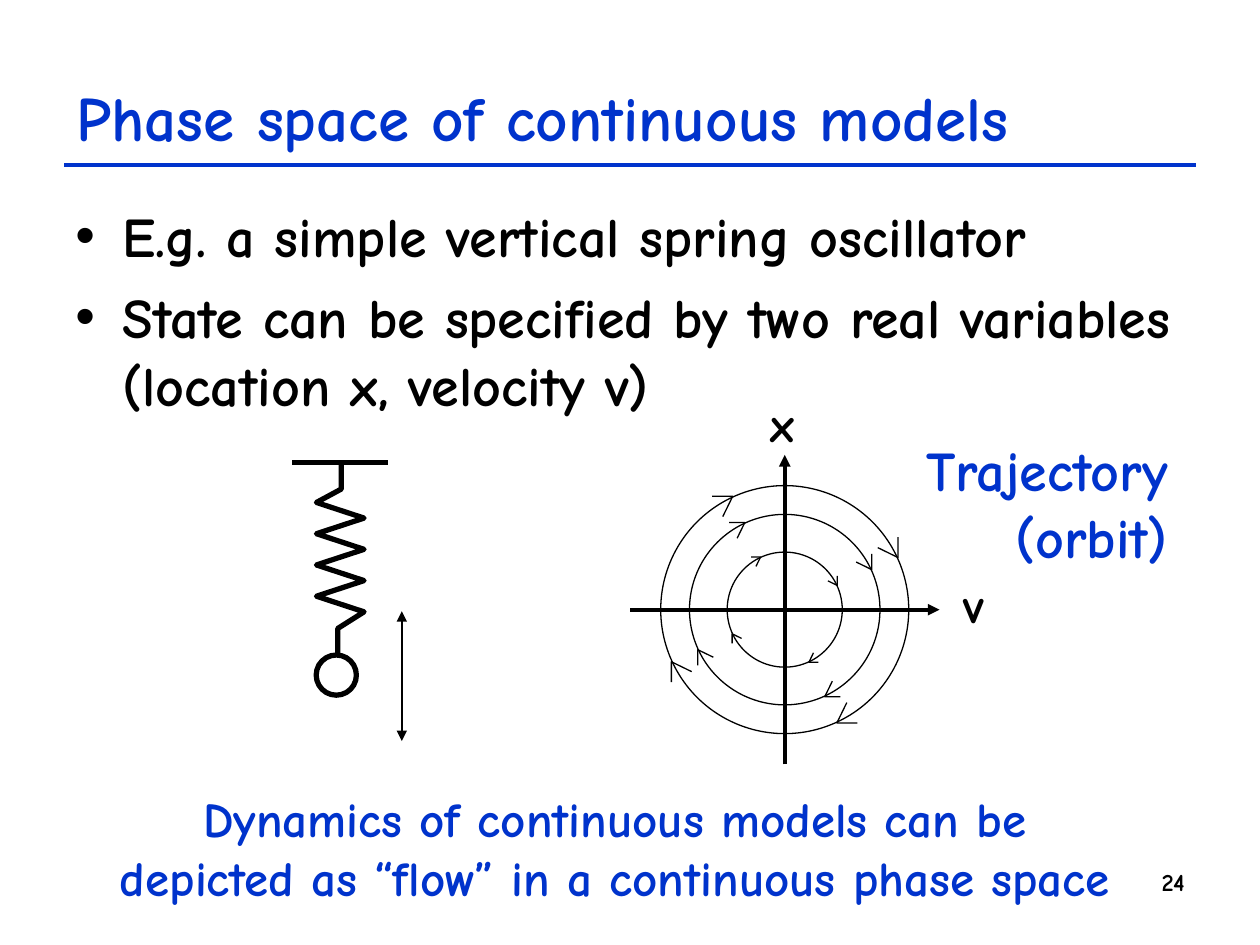
"""Build the slide on the phase space of a spring oscillator."""
import pptx
import pptx.util
import pptx.dml.color
import pptx.enum.shapes
import pptx.enum.text
import pptx.oxml.ns
import lxml.etree

Cm, Pt = pptx.util.Cm, pptx.util.Pt
ALIGN = pptx.enum.text.PP_ALIGN
OVAL = pptx.enum.shapes.MSO_SHAPE.OVAL
FONT, BLUE, BLACK, WHITE = "Comic Neue", "0033CC", "000000", "FFFFFF"

# Text, box (left, top, width, height in cm), size, colour, alignment, wrap
TITLE = ("Phase space of continuous models", (1.3, 0.76, 22.83, 3.18), 36, BLUE, ALIGN.LEFT, True)
POINTS = ("E.g. a simple vertical spring oscillator\n"
          "State can be specified by two real variables (location x, velocity v)",
          (1.27, 3.94, 22.86, 13.08), 32, BLACK, ALIGN.LEFT, True)
LABELS = [
    ("24", (21.69, 17.35, 2.44, 1.32), 14, BLACK, ALIGN.RIGHT, True),
    ("v", (19.18, 11.46, 0.91, 1.45), 28, BLACK, ALIGN.CENTER, False),
    ("x", (15.27, 7.8, 0.99, 1.45), 28, BLACK, ALIGN.CENTER, False),
    ("Trajectory\n(orbit)", (18.36, 8.66, 5.44, 2.97), 32, BLUE, ALIGN.RIGHT, False),
    ("Dynamics of continuous models can be\n"
     "depicted as “flow” in a continuous phase space",
     (2.16, 15.77, 20.47, 2.64), 28, BLUE, ALIGN.CENTER, False),
]

CEILING = 9.32
COIL_SIDES, COIL_TOP, COIL_STEP, COIL_TURNS = (6.38, 7.34), 10.13, 0.315, 8
SPRING = ([(6.88, CEILING), (6.88, 9.86)]
          + [(COIL_SIDES[i % 2], COIL_TOP + i * COIL_STEP) for i in range(COIL_TURNS)]
          + [(6.81, 12.67), (6.81, 13.2)])
BALL_CENTER, BALL_RADIUS = (6.78, 13.61), 0.405

ORIGIN, AXIS_REACH = (15.82, 12.29), 3.12
ORBIT_RADII = (1.92, 1.16, 2.5)
# Flow mark on a unit orbit: upper arm, tip, lower arm
FLOW_MARK = [(0.75, -0.5), (0.914, -0.42), (0.914, -0.585)]


def color(hex_string):
    return pptx.dml.color.RGBColor.from_string(hex_string)


def outline(shape, width, hex_string=BLACK):
    shape.line.width = Pt(width)
    shape.line.color.rgb = color(hex_string)


def add_text(text, box, size, hex_string, align, wrap):
    frame = slide.shapes.add_textbox(*map(Cm, box)).text_frame
    frame.text = text
    frame.word_wrap = wrap
    for paragraph in frame.paragraphs:
        paragraph.alignment = align
        for run in paragraph.runs:
            run.font.name, run.font.size, run.font.bold = FONT, Pt(size), True
            run.font.color.rgb = color(hex_string)
    return frame


def add_line(shapes, start, end, width, hex_string=BLACK, arrows=()):
    line = shapes.add_connector(pptx.enum.shapes.MSO_CONNECTOR.STRAIGHT,
                                *map(Cm, (*start, *end)))
    outline(line, width, hex_string)
    for arrow in arrows:
        lxml.etree.SubElement(line.line._get_or_add_ln(), pptx.oxml.ns.qn("a:" + arrow),
                              type="triangle")
    lxml.etree.SubElement(line._element.spPr, pptx.oxml.ns.qn("a:effectLst"))


def add_path(shapes, points, width):
    start, *rest = [(Cm(x), Cm(y)) for x, y in points]
    builder = shapes.build_freeform(*start)
    builder.add_line_segments(rest, close=False)
    path = builder.convert_to_shape()
    path.shadow.inherit = False
    path.fill.background()
    outline(path, width)


def add_circle(shapes, center, radius, width, fill=None):
    circle = shapes.add_shape(OVAL, Cm(center[0] - radius), Cm(center[1] - radius),
                              Cm(2 * radius), Cm(2 * radius))
    circle.shadow.inherit = False
    if fill:
        circle.fill.solid()
        circle.fill.fore_color.rgb = color(fill)
    else:
        circle.fill.background()
    outline(circle, width)


def add_orbit(shapes, radius):
    add_circle(shapes, ORIGIN, radius, 0.74)
    mark = FLOW_MARK
    for _ in range(4):
        add_path(shapes, [(ORIGIN[0] + radius * x, ORIGIN[1] + radius * y) for x, y in mark], 0.74)
        mark = [(y, -x) for x, y in mark]


def add_bullets(frame):
    for paragraph in frame.paragraphs:
        paragraph.space_before = Pt(8)
        properties = paragraph._p.get_or_add_pPr()
        properties.set("marL", str(Cm(0.95)))
        properties.set("indent", str(-Cm(0.95)))
        lxml.etree.SubElement(properties, pptx.oxml.ns.qn("a:buFont"), typeface="Arial")
        lxml.etree.SubElement(properties, pptx.oxml.ns.qn("a:buChar"), char="•")


deck = pptx.Presentation()
deck.slide_width, deck.slide_height = Cm(25.4), Cm(19.05)
slide = deck.slides.add_slide(deck.slide_layouts[6])

add_line(slide.shapes, (1.3, 3.33), (24.1, 3.33), 2.24, BLUE)
add_text(*TITLE).vertical_anchor = pptx.enum.text.MSO_ANCHOR.MIDDLE
add_bullets(add_text(*POINTS))

oscillator = slide.shapes.add_group_shape().shapes
add_path(oscillator, SPRING, 3)
add_circle(oscillator, BALL_CENTER, BALL_RADIUS, 3, WHITE)
add_line(oscillator, (5.89, CEILING), (7.82, CEILING), 3)
add_line(slide.shapes, (8.1, 12.32), (8.1, 14.94), 0.99, arrows=("headEnd", "tailEnd"))

phase_space = slide.shapes.add_group_shape().shapes
for dx, dy in ((AXIS_REACH, 0), (0, -AXIS_REACH)):
    add_line(phase_space, (ORIGIN[0] - dx, ORIGIN[1] - dy), (ORIGIN[0] + dx, ORIGIN[1] + dy),
             2.24, arrows=("tailEnd",))
for orbit_radius in ORBIT_RADII:
    add_orbit(phase_space, orbit_radius)

for label in LABELS:
    add_text(*label)

deck.save("out.pptx")
